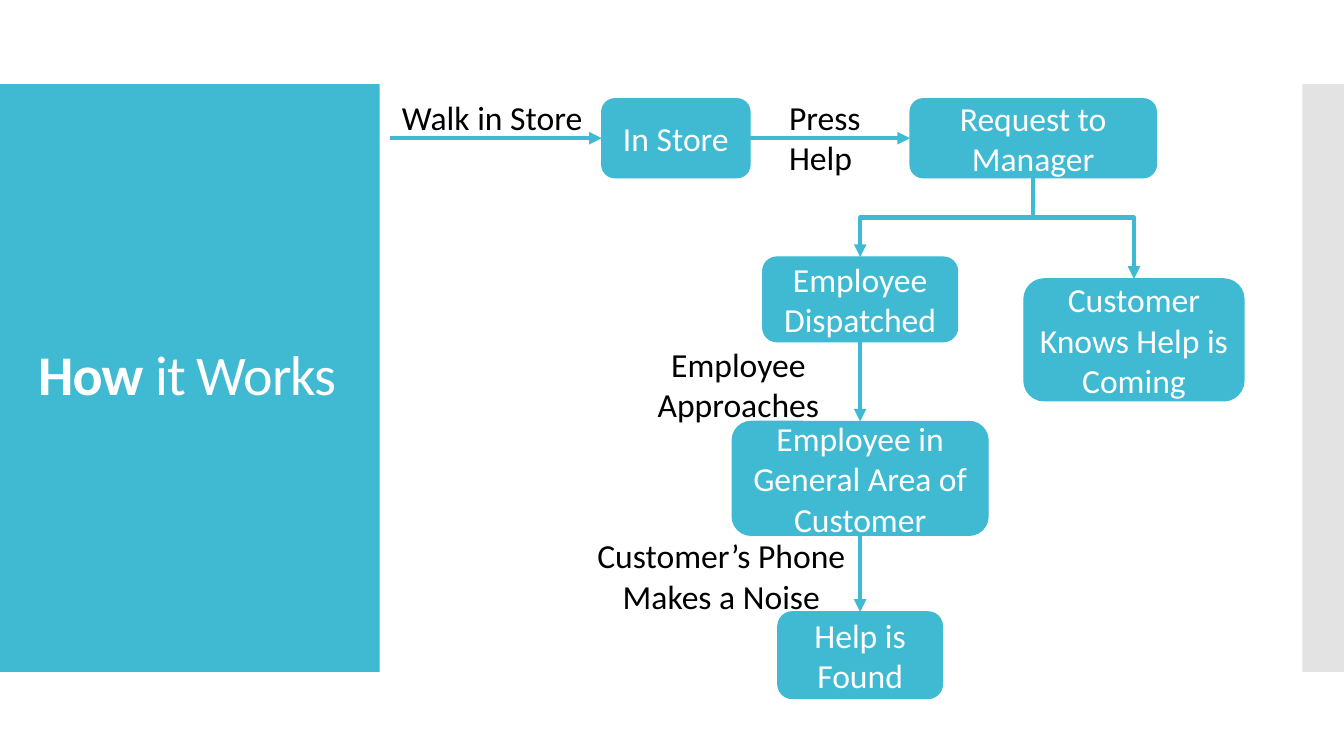
from lxml import etree
from pptx import Presentation
from pptx.dml.color import RGBColor
from pptx.enum.shapes import MSO_CONNECTOR, MSO_SHAPE
from pptx.enum.text import MSO_ANCHOR, PP_ALIGN
from pptx.oxml.ns import qn
from pptx.util import Pt

RECTANGLE, ROUNDED = MSO_SHAPE.RECTANGLE, MSO_SHAPE.ROUNDED_RECTANGLE
STRAIGHT, ELBOW = MSO_CONNECTOR.STRAIGHT, MSO_CONNECTOR.ELBOW
MIDDLE = MSO_ANCHOR.MIDDLE
LEFT, CENTER = PP_ALIGN.LEFT, PP_ALIGN.CENTER
TOP_SITE, LEFT_SITE, BOTTOM_SITE, RIGHT_SITE = range(4)

COLORS = {"teal": "40BAD2", "gray": "C8C8C8", "white": "FFFFFF", "black": "000000"}
FONT = "Calibri"
SLIDE_SIZE = (960, 540)
PANEL_TOP, PANEL_HEIGHT = 60, 420
TITLE_RUNS = [("How ", True), ("it Works", False)]
TITLE_BOX = (20, 88.5, 232, 362)

# Steps: center x, top, width, height
TOP_ROW, CHAIN_X = 70.5, 614.4
STEPS = {
    "In Store": (482.8, TOP_ROW, 106, 56.5),
    "Request to Manager": (738, TOP_ROW, 176, 56.5),
    "Customer Knows Help is Coming": (810, 199.2, 157.2, 87.2),
    "Employee Dispatched": (CHAIN_X, 183.6, 139.2, 60.5),
    "Employee in General Area of Customer": (CHAIN_X, 301, 182.8, 81.4),
    "Help is Found": (CHAIN_X, 437, 117.6, 62),
}
# Labels: text, left, top, width, height, alignment
LABELS = [
    ("Walk in Store", 280, 65.6, 176.4, 36, LEFT),
    ("Press Help", 556.5, 65.6, 68.4, 65.4, LEFT),
    ("Employee Approaches", 437.8, 242, 179.2, 65.4, CENTER),
    ("Customer’s Phone Makes a Noise", 416.2, 378.8, 198, 65.4, CENTER),
]
ENTRY_X = 278.5
ACROSS = [("In Store", "Request to Manager")]
DOWN = [
    ("Employee Dispatched", "Employee in General Area of Customer"),
    ("Employee in General Area of Customer", "Help is Found"),
]
BRANCHES = [
    ("Request to Manager", "Customer Knows Help is Coming"),
    ("Request to Manager", "Employee Dispatched"),
]
BRANCH_DROP = 28.4


def color(name):
    return RGBColor.from_string(COLORS[name])


def format_run(run, size, color_name):
    run.font.name = FONT
    run.font.size = Pt(size)
    run.font.color.rgb = color(color_name)


def write(shape, text, alignment, color_name):
    shape.text_frame.word_wrap = True
    shape.text_frame.text = text
    paragraph = shape.text_frame.paragraphs[0]
    paragraph.alignment = alignment
    format_run(paragraph.runs[0], 24, color_name)


def add_box(slide, kind, box, fill):
    shape = slide.shapes.add_shape(kind, *map(Pt, box))
    shape.shadow.inherit = False
    shape.fill.solid()
    shape.fill.fore_color.rgb = color(fill)
    shape.line.fill.background()
    return shape


def add_panels(slide):
    add_box(slide, RECTANGLE, (0, PANEL_TOP, 271.2, PANEL_HEIGHT), "teal")
    right = add_box(slide, RECTANGLE, (930.2, PANEL_TOP, 29.8, PANEL_HEIGHT), "gray")
    fill_color = right.fill._xPr.find(qn("a:solidFill"))[0]
    etree.SubElement(fill_color, qn("a:alpha"), val="50000")


def add_title(slide):
    title = slide.shapes.title
    slide.shapes._spTree.append(title._element)  # in front of the panel
    title.left, title.top, title.width, title.height = map(Pt, TITLE_BOX)
    title.text_frame.vertical_anchor = MIDDLE
    paragraph = title.text_frame.paragraphs[0]
    paragraph.alignment = LEFT
    paragraph.line_spacing = 0.9
    for text, bold in TITLE_RUNS:
        run = paragraph.add_run()
        run.text = text
        format_run(run, 40, "white")
        run.font.bold = bold
        run._r.get_or_add_rPr().set("spc", "-60")


def add_step(slide, text, center_x, top, width, height):
    box = (center_x - width / 2, top, width, height)
    step = add_box(slide, ROUNDED, box, "teal")
    step.line.color.rgb = color("teal")
    step.line.width = Pt(0.85)
    step.text_frame.vertical_anchor = MIDDLE
    write(step, text, CENTER, "white")
    return step


def add_arrow(slide, kind, start, start_site, end, end_site):
    """Join two steps; without a start step the arrow comes in from the left."""
    y = Pt(TOP_ROW) + end.height // 2
    arrow = slide.shapes.add_connector(kind, Pt(ENTRY_X), y, end.left, y)
    if start is not None:
        arrow.begin_connect(start, start_site)
    arrow.end_connect(end, end_site)
    arrow.line.color.rgb = color("teal")
    arrow.line.width = Pt(3)
    etree.SubElement(arrow.line._get_or_add_ln(), qn("a:tailEnd"), type="triangle")
    etree.SubElement(arrow._element.spPr, qn("a:effectLst"))
    return arrow


def turn_downward(arrow):
    """Rotate an elbow so that it leaves and arrives vertically."""
    across, down = arrow.end_x - arrow.begin_x, arrow.end_y - arrow.begin_y
    center_x = (arrow.begin_x + arrow.end_x) // 2
    center_y = (arrow.begin_y + arrow.end_y) // 2
    arrow.width, arrow.height = down, abs(across)
    arrow.left, arrow.top = center_x - down // 2, center_y - abs(across) // 2
    properties = arrow._element.spPr
    frame = properties.find(qn("a:xfrm"))
    frame.set("rot", str((270 if across > 0 else 90) * 60000))
    frame.set("flipH", "1" if across > 0 else "0")
    guides = properties.find(qn("a:prstGeom")).find(qn("a:avLst"))
    bend = round(Pt(BRANCH_DROP) / down * 100000)
    etree.SubElement(guides, qn("a:gd"), name="adj1", fmla=f"val {bend}")


def main():
    presentation = Presentation()
    presentation.slide_width, presentation.slide_height = map(Pt, SLIDE_SIZE)
    slide = presentation.slides.add_slide(presentation.slide_layouts[5])
    add_panels(slide)
    add_title(slide)

    steps = {text: add_step(slide, text, *box) for text, box in STEPS.items()}
    add_arrow(slide, STRAIGHT, None, None, steps["In Store"], LEFT_SITE)
    for start, end in ACROSS:
        add_arrow(slide, STRAIGHT, steps[start], RIGHT_SITE, steps[end], LEFT_SITE)
    for start, end in DOWN:
        add_arrow(slide, STRAIGHT, steps[start], BOTTOM_SITE, steps[end], TOP_SITE)
    for start, end in BRANCHES:
        turn_downward(
            add_arrow(slide, ELBOW, steps[start], BOTTOM_SITE, steps[end], TOP_SITE)
        )

    for text, left, top, width, height, alignment in LABELS:
        label = slide.shapes.add_textbox(*map(Pt, (left, top, width, height)))
        write(label, text, alignment, "black")
    presentation.save("out.pptx")


if __name__ == "__main__":
    main()
